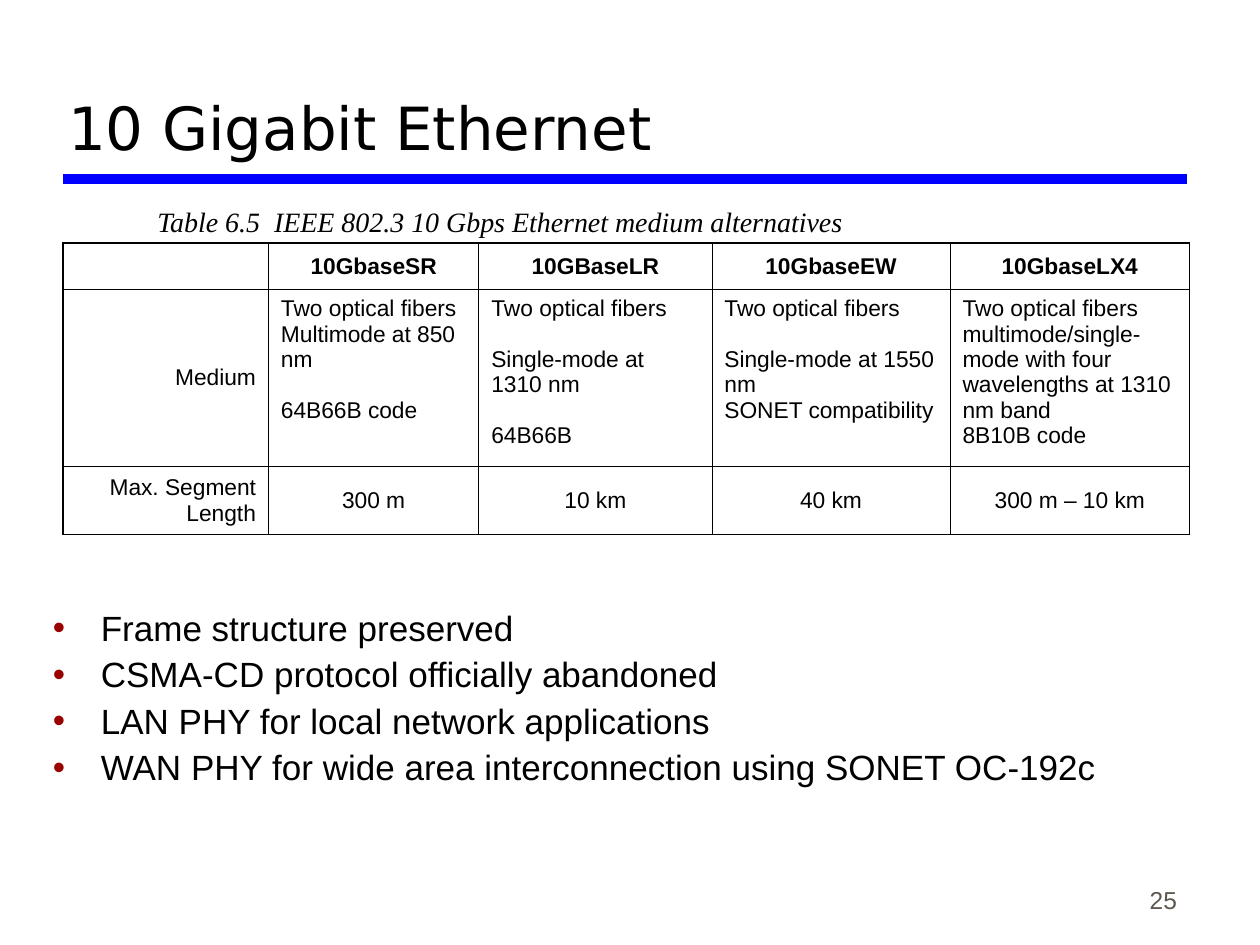
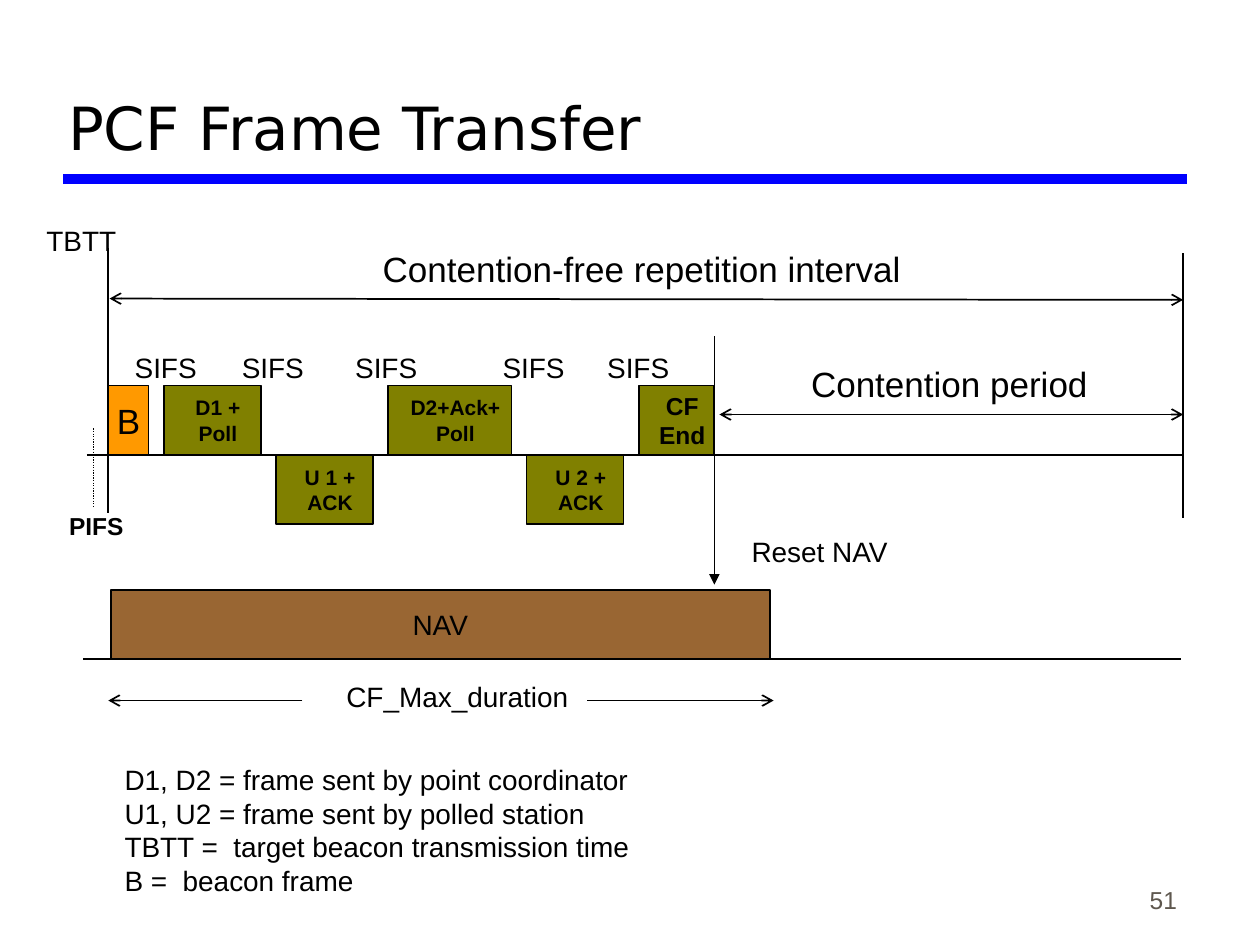
from dataclasses import dataclass

from lxml import etree
from pptx import Presentation
from pptx.dml.color import RGBColor
from pptx.enum import dml, shapes, text
from pptx.oxml import ns
from pptx.util import Inches, Pt

ALIGN = text.PP_ALIGN
ANCHOR = text.MSO_ANCHOR
FIT = text.MSO_AUTO_SIZE


@dataclass(frozen=True)
class Theme:
    ink: str = "000000"
    rule: str = "0000FF"
    bullet: str = "990000"
    number: str = "5E574E"
    frame: str = "808000"
    beacon: str = "FF9900"
    nav: str = "996633"
    sans: str = "Arial"
    serif: str = "Times New Roman"
    heading: str = "DejaVu Sans"
    title: float = 34
    large: float = 20
    label: float = 16
    small: float = 14
    cell: float = 13
    tiny: float = 12
    outer: float = 1.08
    inner: float = 0.45


THEME = Theme()


@dataclass(frozen=True)
class Box:
    left: float
    top: float
    width: float
    height: float

    def point(self, x, y):
        return Inches(self.left + x), Inches(self.top + y)

    def area(self, x=0, y=0, width=None, height=None):
        return (*self.point(x, y), Inches(width or self.width), Inches(height or self.height))


TITLE = Box(0.44, 0.17, 8.97, 1.17)
NUMBER = Box(7.36, 6.81, 2.08, 0.5)
CAPTION = Box(1.15, 1.57, 5.66, 0.37)
MEDIA = Box(0.5, 1.93, 8.94, 2.31)
NOTES = Box(0.32, 4.8, 9.32, 1.88)
TIMELINE = Box(0.86, 1.61, 8.53, 5.56)

COLUMN_WIDTHS = (1.63, 1.67, 1.85, 1.89, 1.9)
ROW_HEIGHTS = (0.37, 1.4, 0.54)
LINE_GAP = 14.5
MEDIA_ROWS = (
    ("", "10GbaseSR", "10GBaseLR", "10GbaseEW", "10GbaseLX4"),
    (
        "Medium",
        (("Two optical fibers", 0), ("Multimode at 850 nm", 0), ("64B66B code", LINE_GAP)),
        (("Two optical fibers", 0), ("Single-mode at 1310 nm", LINE_GAP), ("64B66B", LINE_GAP)),
        (("Two optical fibers", 0), ("Single-mode at 1550 nm", LINE_GAP), ("SONET compatibility", 0)),
        (
            ("Two optical fibers multimode/single-mode with four wavelengths at 1310 nm band", 0),
            ("8B10B code", 0),
        ),
    ),
    ("Max. Segment Length", "300 m", "10 km", "40 km", "300 m – 10 km"),
)
FEATURES = (
    "Frame structure preserved",
    "CSMA-CD protocol officially abandoned",
    "LAN PHY for local network applications",
    "WAN PHY for wide area interconnection using SONET OC-192c",
)

BASELINE, FRAME_HEIGHT, SIFS_GAP = 2.0, 0.55, 0.12
FRAMES = (
    ("B", 0.32, True, THEME.beacon, THEME.large),
    ("D1 + Poll", 0.77, True, THEME.frame, THEME.tiny),
    ("U 1 + ACK", 0.77, False, THEME.frame, THEME.tiny),
    ("D2+Ack+Poll", 0.98, True, THEME.frame, THEME.tiny),
    ("U 2 + ACK", 0.77, False, THEME.frame, THEME.tiny),
    ("CF End", 0.6, True, THEME.frame, THEME.small),
)
SIFS_LEFTS = (0.11, 0.96, 1.86, 3.03, 3.86)
TIME_LINES = (
    ((0.01, 0.76), (8.53, 0.77), {"head": "arrow", "tail": "arrow"}),
    ((-0.17, BASELINE), (8.53, BASELINE), {}),
    ((4.85, 1.68), (8.53, 1.68), {"head": "arrow", "tail": "arrow"}),
    ((4.81, 1.06), (4.81, 3.03), {"tail": "triangle"}),
    ((-0.2, 3.62), (8.51, 3.62), {}),
    ((0, 0.36), (0, 2.46), {}),
    ((8.53, 0.4), (8.53, 2.5), {}),
    ((-0.12, 1.79), (-0.12, 2.41), {"width": 0.75, "dash": dml.MSO_LINE.ROUND_DOT}),
    ((1.54, 3.95), (0, 3.95), {"tail": "arrow"}),
    ((3.8, 3.95), (5.28, 3.95), {"tail": "arrow"}),
)
TIME_LABELS = (
    ("TBTT", (-0.59, 0.11, 0.75, 0.37), THEME.label, False),
    ("PIFS", (-0.41, 2.39, 0.63, 0.34), THEME.small, True),
    ("Contention-free repetition interval", (2.08, 0.3, 4.31, 0.44), THEME.large, False),
    ("Contention period", (5.48, 1.21, 2.39, 0.44), THEME.large, False),
    ("CF_Max_duration", (1.79, 3.73, 1.96, 0.37), THEME.label, False),
    ("Reset NAV", (5, 2.58, 1.29, 0.37), THEME.label, False),
)
LEGEND = (
    "D1, D2 = frame sent by point coordinator",
    "U1, U2 = frame sent by polled station",
    "TBTT =  target beacon transmission time",
    "B =  beacon frame",
)


def apply(target, values):
    for name, value in values.items():
        setattr(target, name, value)


def add_xml(parent, tag, **attributes):
    return etree.SubElement(parent, ns.qn(tag), attributes)


def write(paragraph, words, size, color=THEME.ink, font=THEME.sans, align=ALIGN.LEFT, **styles):
    paragraph.alignment = align
    if words:
        run = paragraph.add_run()
        run.text = words
        apply(run.font, {"name": font, "size": Pt(size), **styles})
        run.font.color.rgb = RGBColor.from_string(color)


def write_lines(frame, lines, size, **styles):
    for index, words in enumerate(lines):
        paragraph = frame.add_paragraph() if index else frame.paragraphs[0]
        write(paragraph, words, size, **styles)


def add_label(slide, area, lines, size, align=ALIGN.LEFT, **styles):
    frame = slide.shapes.add_textbox(*area).text_frame
    inset = 0 if align == ALIGN.CENTER else Inches(0.1)
    apply(frame, {
        "word_wrap": False, "auto_size": FIT.SHAPE_TO_FIT_TEXT,
        "vertical_anchor": ANCHOR.MIDDLE, "margin_left": inset, "margin_right": inset,
    })
    write_lines(frame, lines, size, align=align, **styles)


def add_number(slide, box, number):
    frame = slide.shapes.add_textbox(*box.area()).text_frame
    apply(frame, {"word_wrap": True, "vertical_anchor": ANCHOR.BOTTOM})
    write(frame.paragraphs[0], number, THEME.small, color=THEME.number, align=ALIGN.RIGHT)


def add_line(slide, start, end, color=THEME.ink, width=1, head=None, tail=None, dash=None):
    connector = slide.shapes.add_connector(shapes.MSO_CONNECTOR.STRAIGHT, *start, *end)
    connector.line.width = Pt(width)
    connector.line.color.rgb = RGBColor.from_string(color)
    if dash:
        connector.line.dash_style = dash
    outline = connector.line._get_or_add_ln()
    for tag, arrow in (("a:headEnd", head), ("a:tailEnd", tail)):
        if arrow:
            add_xml(outline, tag, type=arrow)
    add_xml(connector._element.spPr, "a:effectLst")


def add_block(slide, area, words, fill, size, margins, **styles):
    block = slide.shapes.add_shape(shapes.MSO_SHAPE.RECTANGLE, *area)
    block.shadow.inherit = False
    block.fill.solid()
    block.fill.fore_color.rgb = RGBColor.from_string(fill)
    block.line.color.rgb = RGBColor.from_string(THEME.ink)
    block.line.width = Pt(1)
    left, right = margins
    apply(block.text_frame, {
        "margin_left": Inches(left), "margin_right": Inches(right),
        "margin_top": 0, "margin_bottom": 0,
        "word_wrap": True, "vertical_anchor": ANCHOR.MIDDLE,
    })
    write(block.text_frame.paragraphs[0], words, size, align=ALIGN.CENTER, **styles)


def place(placeholder, box, anchor):
    left, top, width, height = box.area()
    apply(placeholder, {"left": left, "top": top, "width": width, "height": height})
    apply(placeholder.text_frame, {
        "vertical_anchor": anchor, "word_wrap": True, "auto_size": FIT.NONE,
    })
    return placeholder.text_frame


def start_slide(deck, layout, heading, number):
    slide = deck.slides.add_slide(deck.slide_layouts[layout])
    frame = place(slide.shapes.title, TITLE, ANCHOR.BOTTOM)
    write(frame.paragraphs[0], heading, THEME.title, font=THEME.heading)
    add_line(slide, (Inches(0.5), Inches(1.42)), (Inches(9.42), Inches(1.42)), THEME.rule, 6)
    add_number(slide, NUMBER, number)
    return slide


def add_borders(cell, row, column):
    outer_sides = {
        "a:lnL": column == 0,
        "a:lnR": column == len(COLUMN_WIDTHS) - 1,
        "a:lnT": row == 0,
        "a:lnB": row == len(ROW_HEIGHTS) - 1,
    }
    properties = cell._tc.get_or_add_tcPr()
    for tag, is_outer in outer_sides.items():
        width = Pt(THEME.outer if is_outer else THEME.inner)
        border = add_xml(properties, tag, w=str(width))
        add_xml(add_xml(border, "a:solidFill"), "a:srgbClr", val=THEME.ink)


def fill_cell(cell, content, row, column):
    is_header, is_list = row == 0, isinstance(content, tuple)
    add_borders(cell, row, column)
    cell.fill.background()
    padding = 0 if is_header else Inches(0.05)
    apply(cell, {
        "margin_left": Inches(0.1), "margin_right": Inches(0.1),
        "margin_top": padding, "margin_bottom": padding,
        "vertical_anchor": ANCHOR.TOP if is_list else ANCHOR.MIDDLE,
    })
    align = ALIGN.LEFT if is_list else ALIGN.CENTER if column else ALIGN.RIGHT
    entries = content if is_list else ((content, 0),)
    write_lines(cell.text_frame, [words for words, _ in entries], THEME.cell,
                align=align, bold=is_header)
    for paragraph, (_, gap) in zip(cell.text_frame.paragraphs, entries):
        paragraph.space_before = Pt(gap)


def add_media_table(slide, box):
    table = slide.shapes.add_table(len(ROW_HEIGHTS), len(COLUMN_WIDTHS), *box.area()).table
    apply(table, {"first_row": False, "horz_banding": False})
    for column, width in zip(table.columns, COLUMN_WIDTHS):
        column.width = Inches(width)
    for row, height in zip(table.rows, ROW_HEIGHTS):
        row.height = Inches(height)
    for row, contents in enumerate(MEDIA_ROWS):
        for column, content in enumerate(contents):
            fill_cell(table.cell(row, column), content, row, column)


def add_features(slide, box):
    frame = place(slide.placeholders[1], box, ANCHOR.TOP)
    write_lines(frame, FEATURES, THEME.large)
    for index, paragraph in enumerate(frame.paragraphs):
        properties = paragraph._p.get_or_add_pPr()
        properties.set("marL", str(Inches(0.38)))
        properties.set("indent", str(Inches(-0.38)))
        add_xml(add_xml(properties, "a:buClr"), "a:srgbClr", val=THEME.bullet)
        add_xml(properties, "a:buChar", char="•")
        apply(paragraph, {"line_spacing": 0.9, "space_before": Pt(5 if index else 0)})


def add_frames(slide, box):
    left = 0
    for words, width, is_downlink, fill, size in FRAMES:
        top = BASELINE - FRAME_HEIGHT if is_downlink else BASELINE
        is_beacon = fill == THEME.beacon
        add_block(slide, box.area(left, top, width, FRAME_HEIGHT), words, fill, size,
                  (0, 0) if is_beacon else (0.14, 0.05), bold=not is_beacon)
        left += width + SIFS_GAP


def add_timeline(slide, box):
    for start, end, style in TIME_LINES:
        add_line(slide, box.point(*start), box.point(*end), **style)
    add_frames(slide, box)
    add_block(slide, box.area(0.02, 3.07, 5.23, FRAME_HEIGHT), "NAV", THEME.nav,
              THEME.label, (0.1, 0.1))
    gaps = [("SIFS", (left, 1.12, 0.69, 0.37), THEME.label, False) for left in SIFS_LEFTS]
    for words, area, size, bold in (*TIME_LABELS, *gaps):
        add_label(slide, box.area(*area), [words], size, align=ALIGN.CENTER, bold=bold)
    add_label(slide, box.area(0.03, 4.39, 4.21, 1.17), LEGEND, THEME.label)


def build_ethernet(deck):
    slide = start_slide(deck, 1, "10 Gigabit Ethernet", "25")
    add_label(slide, CAPTION.area(), ["Table 6.5  IEEE 802.3 10 Gbps Ethernet medium alternatives"],
              THEME.label, font=THEME.serif, italic=True)
    add_media_table(slide, MEDIA)
    add_features(slide, NOTES)


def build_pcf(deck):
    slide = start_slide(deck, 5, "PCF Frame Transfer", "51")
    add_timeline(slide, TIMELINE)


def main():
    deck = Presentation()
    apply(deck, {"slide_width": Inches(10), "slide_height": Inches(7.5)})
    build_ethernet(deck)
    build_pcf(deck)
    deck.save("out.pptx")


if __name__ == "__main__":
    main()
